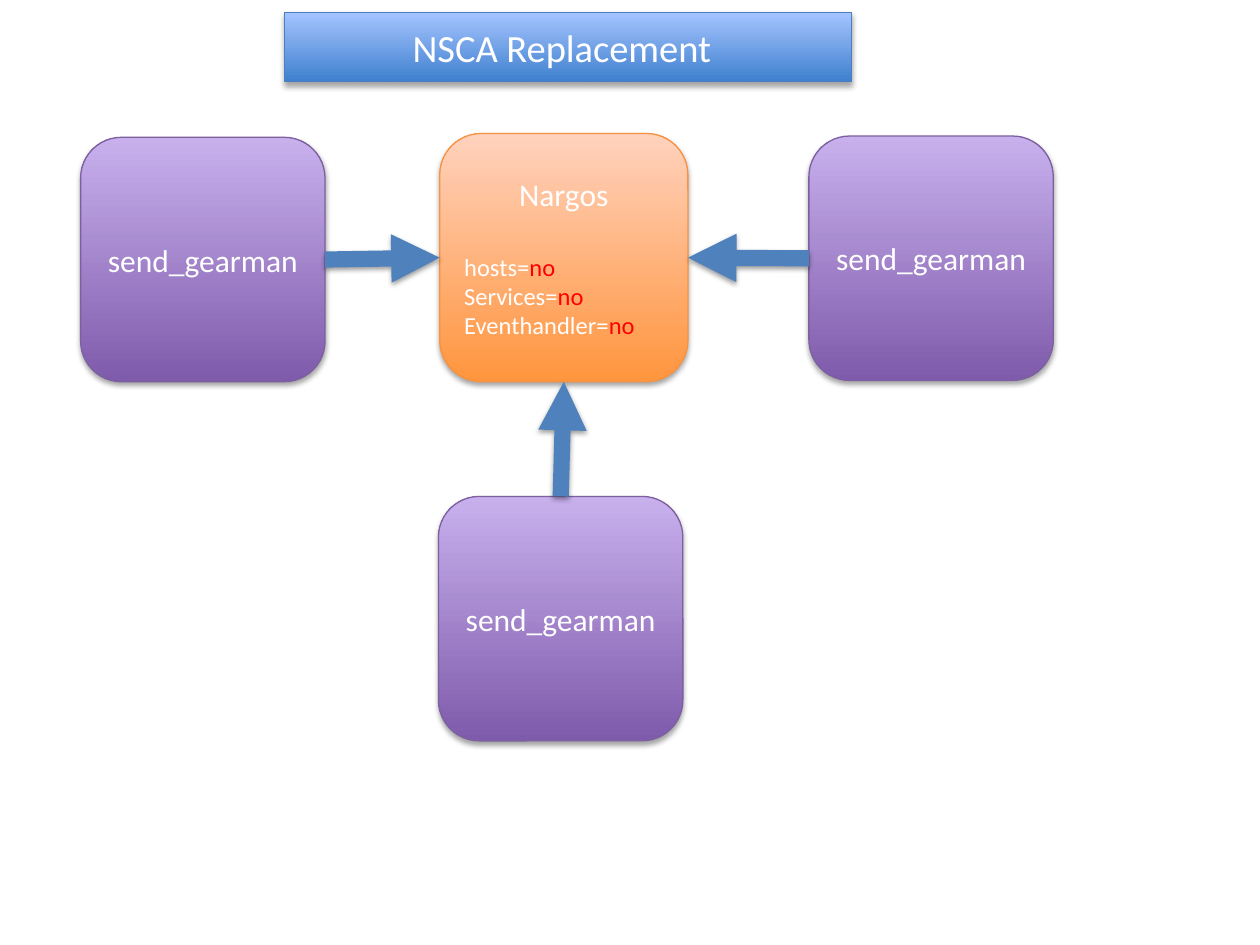
from lxml.etree import SubElement
from pptx import Presentation
from pptx.dml.color import RGBColor
from pptx.enum.shapes import MSO_CONNECTOR, MSO_SHAPE
from pptx.enum.text import MSO_ANCHOR, MSO_AUTO_SIZE, PP_ALIGN
from pptx.oxml import parse_xml
from pptx.oxml.ns import nsdecls, qn
from pptx.util import Inches, Pt

WHITE, RED, BLUE = "FFFFFF", "FF0000", "4F81BD"
TOP, LEFT, BOTTOM, RIGHT = range(4)
SIDE = 1.94


def paint(color, code):
    """Set a colour from a hex string."""
    color.rgb = RGBColor.from_string(code)


def shade(shape, dist, alpha):
    """Give a shape a soft shadow straight below it."""
    shape._element.spPr.append(parse_xml(
        f'<a:effectLst {nsdecls("a")}><a:outerShdw blurRad="{Pt(3.1)}" '
        f'dist="{Pt(dist)}" dir="5400000" rotWithShape="0">'
        f'<a:srgbClr val="000000"><a:alpha val="{alpha * 1000}"/></a:srgbClr>'
        '</a:outerShdw></a:effectLst>'))


def style(shape, low, high, edge):
    """Fill a box from low to high colour, with an edge and a shadow."""
    shape.fill.gradient()
    shape.fill.gradient_angle = 90
    for stop, code in zip(shape.fill.gradient_stops, (low, high)):
        paint(stop.color, code)
    paint(shape.line.color, edge)
    shape.line.width = Pt(0.75)
    shade(shape, 1.8, 35)
    shape.text_frame.vertical_anchor = MSO_ANCHOR.MIDDLE


def write(para, text, size, align=PP_ALIGN.CENTER):
    """Put white text in a paragraph."""
    para.text = text
    para.alignment = align
    para.font.size = Pt(size)
    para.font.name = "Calibri"
    paint(para.font.color, WHITE)


def place(shape, left, top, width, height):
    """Move a shape to a box in inches."""
    shape.left, shape.top = Inches(left), Inches(top)
    shape.width, shape.height = Inches(width), Inches(height)


def head(slide, *box):
    """Turn the title into a rounded blue bar."""
    title = slide.shapes.title
    place(title, *box)
    title._element.spPr.insert(1, parse_xml(
        f'<a:prstGeom {nsdecls("a")} prst="roundRect"><a:avLst/></a:prstGeom>'))
    style(title, "3F80CE", "A4C4FF", "4B7EBC")
    frame = title.text_frame
    frame.auto_size = MSO_AUTO_SIZE.NONE
    frame.margin_left = frame.margin_top = frame.margin_bottom = 0
    frame.margin_right = Inches(0.1)
    write(frame.paragraphs[0], "NSCA Replacement", 22)


def block(slide, left, top, side, text, *tones):
    """Add a square rounded box with a centred label."""
    shape = slide.shapes.add_shape(
        MSO_SHAPE.ROUNDED_RECTANGLE, *map(Inches, (left, top, side, side)))
    style(shape, *tones)
    write(shape.text_frame.paragraphs[0], text, 18)
    return shape


def server(slide, left, top, side):
    """Add the orange server box with its settings."""
    shape = block(slide, left, top, side, "Nargos", "FF953E", "FFD2BD", "F69240")
    for num, name in enumerate(("hosts", "Services", "Eventhandler")):
        para = shape.text_frame.add_paragraph()
        write(para, f"{name}=", 14, PP_ALIGN.LEFT)
        if num == 0:
            para.space_before = Pt(22)
        run = para.add_run()
        run.text = "no"
        paint(run.font.color, RED)
    return shape


def sender(slide, left, top):
    """Add a purple sender box."""
    return block(slide, left, top, SIDE, "send_gearman",
                 "7F5BAB", "C8B0ED", "7D60A0")


def arrow(slide, start, exit, end, entry):
    """Join two boxes with a thick arrow."""
    line = slide.shapes.add_connector(MSO_CONNECTOR.STRAIGHT, 0, 0, 0, 0)
    line.begin_connect(start, exit)
    line.end_connect(end, entry)
    paint(line.line.color, BLUE)
    line.line.width = Pt(9.25)
    SubElement(line.line._get_or_add_ln(), qn("a:tailEnd"), type="triangle")
    shade(line, 1.6, 38)


def build():
    """Build and save the slide."""
    deck = Presentation()
    deck.slide_width, deck.slide_height = Inches(10), Inches(7.5)
    slide = deck.slides.add_slide(deck.slide_layouts[5])
    head(slide, 2.26, 0.1, 4.5, 0.55)
    hub = server(slide, 3.49, 1.06, 1.97)
    for left, top, exit, entry in ((6.42, 1.08, LEFT, RIGHT),
                                   (0.64, 1.09, RIGHT, LEFT),
                                   (3.48, 3.94, TOP, BOTTOM)):
        arrow(slide, sender(slide, left, top), exit, hub, entry)
    deck.save("out.pptx")


build()
